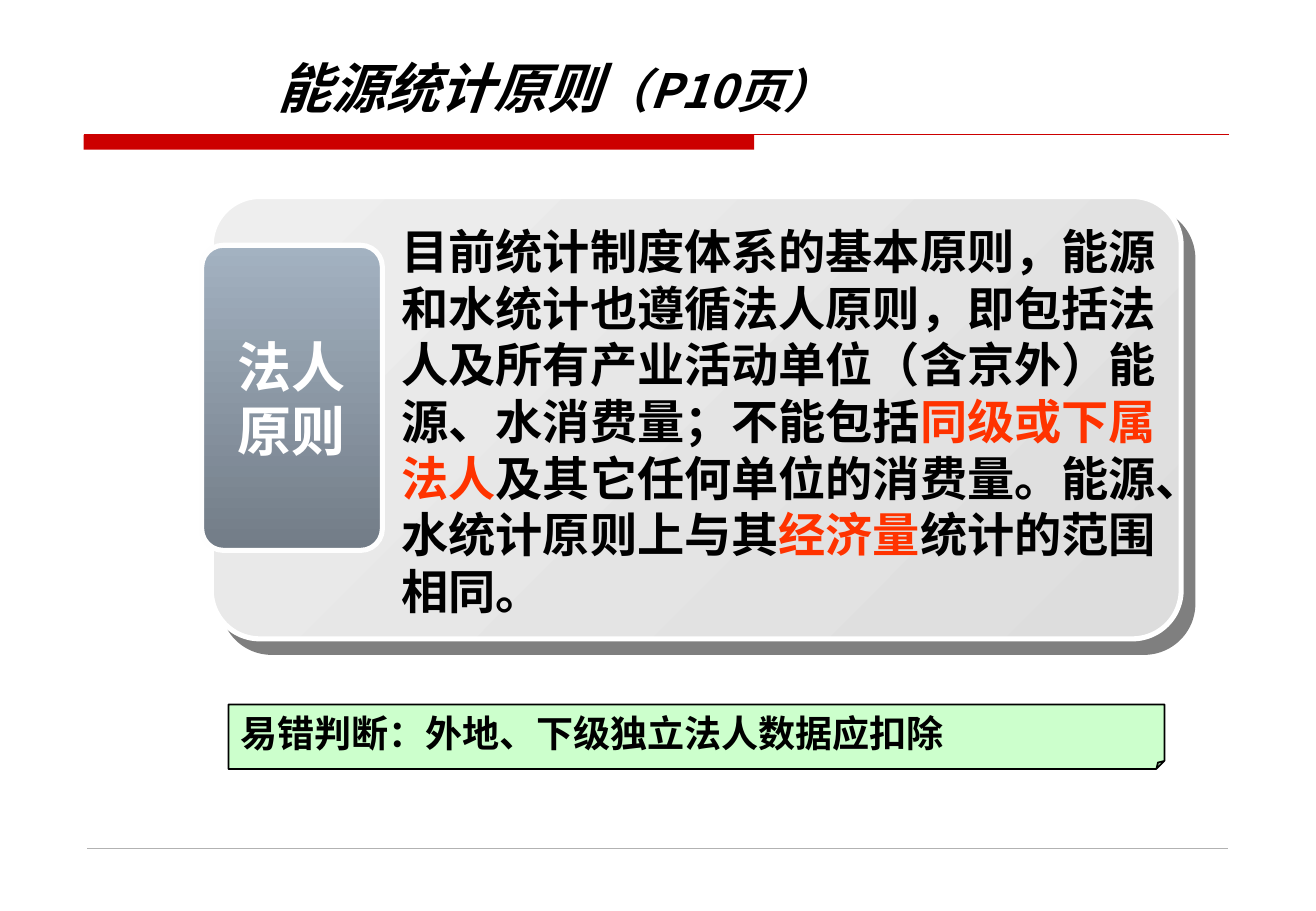
from lxml import etree
from pptx import Presentation
from pptx.dml.color import RGBColor
from pptx.enum.shapes import MSO_CONNECTOR, MSO_SHAPE as Shape
from pptx.enum.text import MSO_ANCHOR as Anchor, MSO_AUTO_SIZE as AutoSize, PP_ALIGN as Align
from pptx.oxml.ns import qn
from pptx.util import Cm, Pt

SANS_JP = "Noto Sans CJK JP"
SANS_SC = "Noto Sans CJK SC"
RED, ORANGE, BLACK, WHITE = "CC0000", "FF3300", "000000", "FFFFFF"


def color(hex_string):
    return RGBColor.from_string(hex_string)


def add_shape(slide, kind, left, top, width, height, fill, line=None, line_width=1):
    """Add a preset shape; fill is a colour or a gradient (start, end, angle)."""
    shape = slide.shapes.add_shape(kind, Cm(left), Cm(top), Cm(width), Cm(height))
    shape.shadow.inherit = False
    if isinstance(fill, str):
        shape.fill.solid()
        shape.fill.fore_color.rgb = color(fill)
    else:
        start, end, angle = fill
        shape.fill.gradient()
        shape.fill.gradient_angle = 360 - angle
        for stop, stop_color in zip(shape.fill.gradient_stops, (start, end)):
            stop.color.rgb = color(stop_color)
    if line:
        shape.line.color.rgb = color(line)
        shape.line.width = Pt(line_width)
    else:
        shape.line.fill.background()
    return shape


def add_line(slide, left, top, width, line, line_width):
    connector = slide.shapes.add_connector(
        MSO_CONNECTOR.STRAIGHT, Cm(left), Cm(top), Cm(left + width), Cm(top))
    connector.line.color.rgb = color(line)
    connector.line.width = Pt(line_width)
    etree.SubElement(connector._element.spPr, qn("a:effectLst"))


def add_text_box(slide, left, top, width, height):
    return slide.shapes.add_textbox(Cm(left), Cm(top), Cm(width), Cm(height))


def add_shadow(shape, distance, angle, opacity):
    effects = shape._element.spPr.find(qn("a:effectLst"))
    shadow = etree.SubElement(effects, qn("a:outerShdw"), dist=str(int(Pt(distance))),
                              dir=str(angle * 60000), algn="ctr", rotWithShape="0")
    shade = etree.SubElement(shadow, qn("a:srgbClr"), val=BLACK)
    etree.SubElement(shade, qn("a:alpha"), val=str(opacity * 1000))


def write(shape, paragraphs, font_name, align=Align.LEFT, anchor=Anchor.TOP,
          wrap=True, italic=False):
    """Fill a shape with paragraphs, each a list of (text, size, colour) runs."""
    text_frame = shape.text_frame
    text_frame.word_wrap = wrap
    text_frame.vertical_anchor = anchor
    for index, runs in enumerate(paragraphs):
        paragraph = text_frame.add_paragraph() if index else text_frame.paragraphs[0]
        paragraph.alignment = align
        for text, size, text_color in runs:
            run = paragraph.add_run()
            run.text = text
            font = run.font
            font.name, font.size = font_name, Pt(size)
            font.bold, font.italic = True, italic
            font.color.rgb = color(text_color)
            latin = run._r.rPr.find(qn("a:latin"))
            latin.addnext(latin.makeelement(qn("a:ea"), {"typeface": font_name}))


def add_header(slide, left, top, width, height):
    # Title
    title = add_text_box(slide, left + 3.81, top, 19.2, 1.8)
    write(title, [[("能源统计原则", 32, BLACK), ("（P10页）", 28, BLACK)]], SANS_JP,
          anchor=Anchor.MIDDLE, italic=True)
    # Thick bar under the left part, thin rule across the whole width
    bar_height = 0.31
    rule_top = top + height - bar_height
    add_shape(slide, Shape.RECTANGLE, left, rule_top, 14.03, bar_height, RED)
    add_line(slide, left, rule_top, width, RED, 0.75)


def add_principle_card(slide, left, top, width, height):
    # Panel
    panel = add_shape(slide, Shape.ROUNDED_RECTANGLE, left, top, width, height,
                      ("EEEEEE", "DDDDDD", 45), WHITE, 3)
    panel.adjustments[0] = 0.11
    add_shadow(panel, 10.6, 49, 50)
    # Explanation
    body = add_text_box(slide, left + 3.73, top + 0.41, 16.59, 8.56)
    pieces = [
        ("目前统计制度体系的基本原则，能源和水统计也遵循法人原则，即包括法人及所有产业活动单位"
         "（含京外）能源、水消费量；不能包括", BLACK),
        ("同级或下属法人", ORANGE),
        ("及其它任何单位的消费量。能源、水统计原则上与其", BLACK),
        ("经济量", ORANGE),
        ("统计的范围相同。", BLACK),
    ]
    write(body, [[(text, 28, text_color) for text, text_color in pieces]], SANS_SC)
    # Label overlapping the panel's left edge
    label = add_shape(slide, Shape.ROUNDED_RECTANGLE, left - 0.2, top + 1.02, 3.78, 6.38,
                      ("A3B2C1", "727C87", 90), "FEFEFE", 3)
    label.adjustments[0] = 0.12
    write(label, [[(text, 32, WHITE)] for text in ("法人", "原则")], SANS_JP,
          align=Align.CENTER, anchor=Anchor.MIDDLE, wrap=False)


def add_warning_note(slide, left, top, width, height):
    note = add_shape(slide, Shape.FOLDED_CORNER, left, top, width, height,
                     "CCFFCC", BLACK, 1)
    # Size of the folded corner
    guides = note._element.spPr.find(qn("a:prstGeom")).find(qn("a:avLst"))
    etree.SubElement(guides, qn("a:gd"), name="adj", fmla="val 12500")
    write(note, [[("易错判断：外地、下级独立法人数据应扣除", 22, BLACK)]], SANS_SC,
          anchor=Anchor.MIDDLE)
    note.text_frame.auto_size = AutoSize.SHAPE_TO_FIT_TEXT


def main():
    presentation = Presentation()
    presentation.slide_width, presentation.slide_height = Cm(27.53), Cm(19.05)
    slide = presentation.slides.add_slide(presentation.slide_layouts[6])
    add_header(slide, 1.75, 0.91, 23.95, 2.22)
    add_line(slide, 1.83, 17.73, 23.85, "B2B2B2", 0.25)  # Footer rule
    add_principle_card(slide, 4.42, 4.11, 20.29, 9.25)
    add_warning_note(slide, 4.78, 14.73, 19.58, 1.35)
    presentation.save("out.pptx")


if __name__ == "__main__":
    main()
